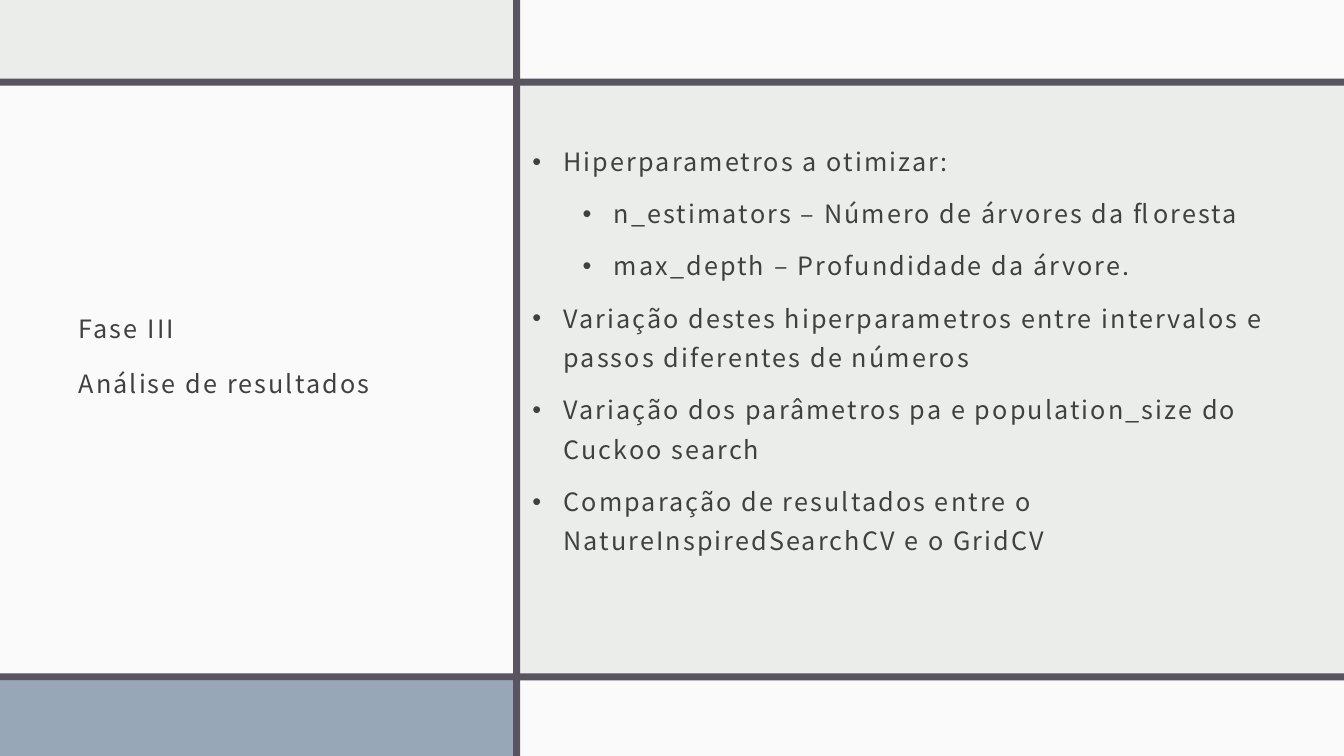
from lxml import etree
from pptx import Presentation
from pptx.dml.color import RGBColor
from pptx.enum.shapes import MSO_SHAPE
from pptx.enum.text import MSO_ANCHOR, MSO_AUTO_SIZE, PP_ALIGN
from pptx.oxml.ns import qn
from pptx.util import Inches, Pt

COLORS = {"mist": "EBEDEB", "white": "FFFFFF", "slate": "97A7B8",
          "bar": "595460", "text": "404040"}
FONT = "Noto Sans CJK JP"
WIDTH, HEIGHT, BAR = 13.33, 7.5, 0.07

# Content: (indent level, text)
TITLE = [(0, "Fase III"), (0, "Análise de resultados")]
TOPICS = [
    (0, "Hiperparametros a otimizar:"),
    (1, "n_estimators – Número de árvores da floresta"),
    (1, "max_depth – Profundidade da árvore."),
    (0, "Variação destes hiperparametros entre intervalos e passos diferentes de números"),
    (0, "Variação dos parâmetros pa e population_size do Cuckoo search"),
    (0, "Comparação de resultados entre o NatureInspiredSearchCV e o GridCV"),
]

# Grid: one vertical bar and two horizontal bars
COLUMN_BAR, TOP_BAR, BOTTOM_BAR = 5.09, 0.78, 6.68
RIGHT, MIDDLE, BOTTOM = (edge + BAR for edge in (COLUMN_BAR, TOP_BAR, BOTTOM_BAR))

# Left, top, right, bottom, colour, opacity in percent
CELLS = [
    (0, MIDDLE, COLUMN_BAR, BOTTOM_BAR, "white", 75),
    (RIGHT, 0, WIDTH, TOP_BAR, "white", 75),
    (0, BOTTOM, COLUMN_BAR, HEIGHT, "slate", 100),
    (RIGHT, BOTTOM, WIDTH, HEIGHT, "white", 75),
]
BARS = [
    (0, BOTTOM_BAR, WIDTH, BOTTOM, "bar", 100),
    (COLUMN_BAR, 0, RIGHT, HEIGHT, "bar", 100),
    (0, TOP_BAR, WIDTH, MIDDLE, "bar", 100),
]


def rgb(name):
    return RGBColor.from_string(COLORS[name])


def add_block(left, top, right, bottom, color, opacity):
    block = slide.shapes.add_shape(
        MSO_SHAPE.RECTANGLE, Inches(left), Inches(top),
        Inches(right - left), Inches(bottom - top))
    block.shadow.inherit = False
    block.line.fill.background()
    block.fill.solid()
    block.fill.fore_color.rgb = rgb(color)
    if opacity < 100:
        tint = block.element.spPr.find(".//" + qn("a:srgbClr"))
        etree.SubElement(tint, qn("a:alpha"), val=str(opacity * 1000))


def write(frame, lines, spacing, bulleted):
    frame.word_wrap = True
    frame.auto_size = MSO_AUTO_SIZE.NONE
    frame.vertical_anchor = MSO_ANCHOR.TOP
    frame.margin_left = frame.margin_right = frame.margin_top = Inches(0.12)
    frame.margin_bottom = Inches(0.1)
    for i, (level, text) in enumerate(lines):
        line = frame.add_paragraph() if i else frame.paragraphs[0]
        line.level = level
        line.alignment = PP_ALIGN.LEFT
        line.line_spacing = spacing
        line.space_before = Pt(9.3)
        if bulleted:
            props = line._p.get_or_add_pPr()
            props.set("marL", str(Inches(0.31 + 0.5 * level)))
            props.set("indent", str(Inches(-0.31)))
            etree.SubElement(props, qn("a:buFont"), typeface="Arial")
            etree.SubElement(props, qn("a:buChar"), char="•")
        run = line.add_run()
        run.text = text
        run.font.name = FONT
        run.font.size = Pt(18)
        run.font.color.rgb = rgb("text")
        run.font._element.set("spc", "150")


deck = Presentation()
deck.slide_width, deck.slide_height = Inches(WIDTH), Inches(HEIGHT)
slide = deck.slides.add_slide(deck.slide_layouts[5])
slide.background.fill.solid()
slide.background.fill.fore_color.rgb = rgb("mist")

# Cells, then the bars over them
for block in CELLS + BARS:
    add_block(*block)

# Title, brought in front of the cells
title = slide.shapes.title
title.left, title.top = Inches(0.66), Inches(2.87)
title.width, title.height = Inches(4.29), Inches(1.62)
title.element.getparent().append(title.element)
write(title.text_frame, TITLE, 1.4, bulleted=False)

# Topics
topics = slide.shapes.add_textbox(Inches(RIGHT), Inches(1.24), Inches(8.03), Inches(5.48))
write(topics.text_frame, TOPICS, 1.3, bulleted=True)

deck.save("out.pptx")
